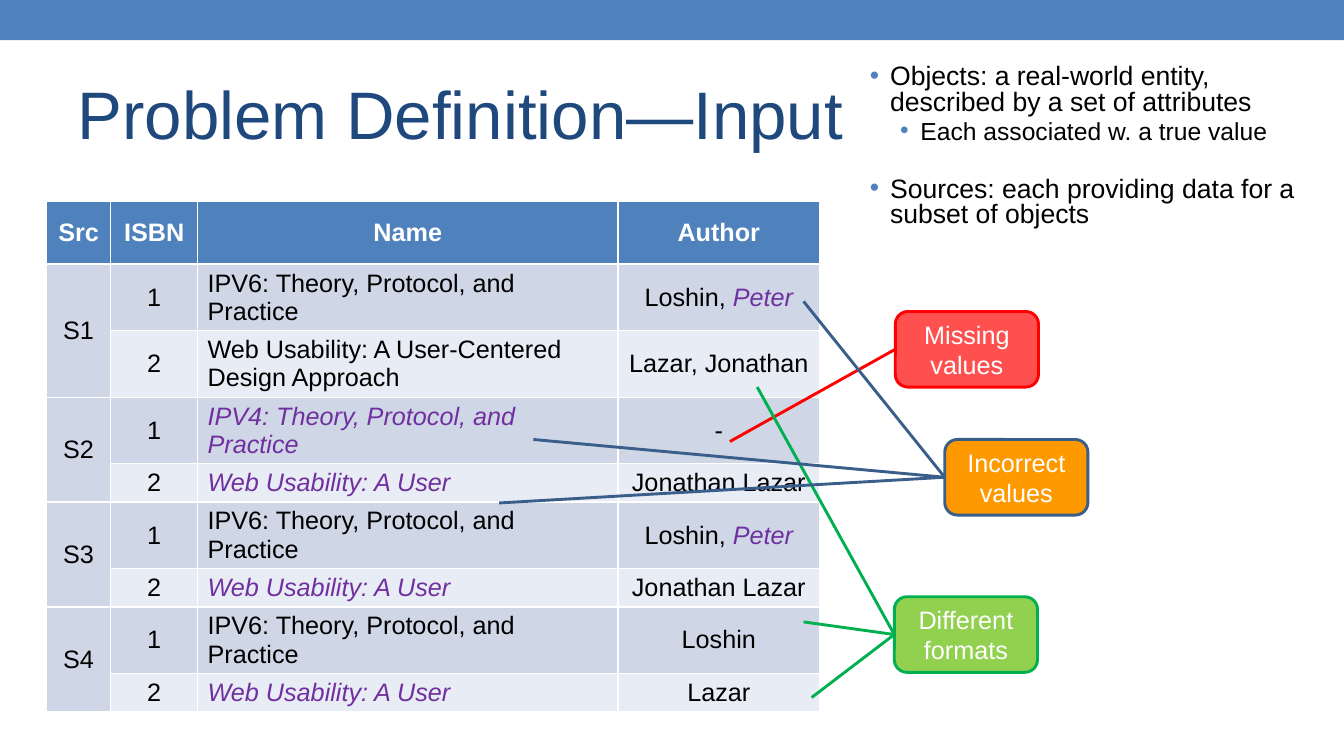
from dataclasses import dataclass

from lxml import etree
from pptx import Presentation
from pptx.dml.color import RGBColor
from pptx.enum import shapes, text
from pptx.oxml import ns
from pptx.util import Inches, Pt


@dataclass(frozen=True)
class Theme:
    font: str = "Arial"
    accent: str = "4F81BD"
    title: str = "1F497D"
    ink: str = "000000"
    white: str = "FFFFFF"
    emphasis: str = "7030A0"
    bands: tuple[str, str] = ("CFD7E7", "E8ECF4")
    title_size: float = 48
    text_size: float = 18
    bullet_size: float = 19
    sub_bullet_size: float = 17.6
    line_width: float = 2.08


@dataclass(frozen=True)
class Record:
    isbn: str
    name: str
    author: str
    height: float


@dataclass(frozen=True)
class Bullet:
    content: str
    size: float
    level: int
    indent: float
    space_before: float


@dataclass(frozen=True)
class Issue:
    label: str
    left: float
    top: float
    fill: str
    line: str
    evidence: tuple[tuple[float, float], ...]


THEME = Theme()
TALL, SHORT = 0.66, 0.38
HEADER_HEIGHT = 0.62
HEADINGS = ("Src", "ISBN", "Name", "Author")
COLUMN_WIDTHS = (0.64, 0.86, 4.17, 2)
IPV6 = "IPV6: Theory, Protocol, and Practice"
USABILITY = "*Web Usability: A User*"

RECORDS = (
    Record("1", IPV6, "Loshin, *Peter*", TALL),
    Record("2", "Web Usability: A User-Centered Design Approach", "Lazar, Jonathan", TALL),
    Record("1", "*IPV4: Theory, Protocol, and Practice*", "-", TALL),
    Record("2", USABILITY, "Jonathan Lazar", SHORT),
    Record("1", IPV6, "Loshin, *Peter*", TALL),
    Record("2", USABILITY, "Jonathan Lazar", SHORT),
    Record("1", IPV6, "Loshin", TALL),
    Record("2", USABILITY, "Lazar", SHORT),
)

BULLETS = (
    Bullet("Objects: a real-world entity, described by a set of attributes",
           THEME.bullet_size, 0, 0.2, 0),
    Bullet("Each associated w. a true value", THEME.sub_bullet_size, 1, 0.5, 3.5),
    Bullet("Sources: each providing data for a subset of objects",
           THEME.bullet_size, 0, 0.2, 23.5),
)

ISSUES = (
    Issue("Missing values", 8.88, 3.09, "FF5050", "FF0000", ((7.24, 4.38),)),
    Issue("Different formats", 8.87, 5.92, "92D050", "00B050",
          ((7.51, 3.84), (7.97, 6.17), (8.05, 6.92))),
    Issue("Incorrect\vvalues", 9.37, 4.36, "FF9900", "395E89",
          ((5.29, 4.36), (4.95, 4.99), (7.97, 2.99))),
)


def rgb(value: str) -> RGBColor:
    return RGBColor.from_string(value)


def set_font(font, size: float, color: str, bold: bool = False) -> None:
    font.name, font.size, font.bold = THEME.font, Pt(size), bold
    font.color.rgb = rgb(color)


def add_banner(slide, width: int) -> None:
    banner = slide.shapes.add_shape(shapes.MSO_SHAPE.RECTANGLE, 0, 0, width, Inches(0.4))
    banner.shadow.inherit = False
    banner.fill.solid()
    banner.fill.fore_color.rgb = rgb(THEME.accent)
    banner.line.fill.background()


def format_title(slide) -> None:
    title = slide.shapes.title
    title.left, title.top = Inches(0.67), Inches(0.58)
    title.width, title.height = Inches(12), Inches(1.08)
    frame = title.text_frame
    frame.text = "Problem Definition—Input"
    frame.auto_size = text.MSO_AUTO_SIZE.NONE
    frame.vertical_anchor = text.MSO_ANCHOR.MIDDLE
    frame.paragraphs[0].alignment = text.PP_ALIGN.LEFT
    set_font(frame.paragraphs[0].font, THEME.title_size, THEME.title)


def fill_cell(cell, content: str, fill: str, color: str = THEME.ink,
              bold: bool = False, centered: bool = True) -> None:
    cell.fill.solid()
    cell.fill.fore_color.rgb = rgb(fill)
    cell.vertical_anchor = text.MSO_ANCHOR.MIDDLE
    paragraph = cell.text_frame.paragraphs[0]
    paragraph.alignment = text.PP_ALIGN.CENTER if centered else text.PP_ALIGN.LEFT
    set_font(paragraph.font, THEME.text_size, color, bold)
    for index, part in enumerate(content.split("*")):
        if part:
            run = paragraph.add_run()
            run.text = part
            if index % 2:
                run.font.italic = True
                run.font.color.rgb = rgb(THEME.emphasis)


def add_records(slide) -> None:
    height = HEADER_HEIGHT + sum(record.height for record in RECORDS)
    table = slide.shapes.add_table(
        len(RECORDS) + 1, len(HEADINGS), Inches(0.46), Inches(2),
        Inches(sum(COLUMN_WIDTHS)), Inches(height)).table
    table.rows[0].height = Inches(HEADER_HEIGHT)
    for column, (heading, width) in enumerate(zip(HEADINGS, COLUMN_WIDTHS)):
        table.columns[column].width = Inches(width)
        fill_cell(table.cell(0, column), heading, THEME.accent, THEME.white, bold=True)
    for row, record in enumerate(RECORDS, start=1):
        table.rows[row].height = Inches(record.height)
        band = THEME.bands[(row - 1) % 2]
        if row % 2:
            source = table.cell(row, 0)
            source.merge(table.cell(row + 1, 0))
            fill_cell(source, f"S{(row + 1) // 2}", band)
        fill_cell(table.cell(row, 1), record.isbn, band)
        fill_cell(table.cell(row, 2), record.name, band, centered=False)
        fill_cell(table.cell(row, 3), record.author, band)


def add_issue(slide, issue: Issue) -> None:
    box = slide.shapes.add_shape(
        shapes.MSO_SHAPE.ROUNDED_RECTANGLE, Inches(issue.left), Inches(issue.top),
        Inches(1.42), Inches(0.75))
    box.shadow.inherit = False
    box.fill.solid()
    box.fill.fore_color.rgb = rgb(issue.fill)
    box.line.color.rgb = rgb(issue.line)
    box.line.width = Pt(THEME.line_width)
    frame = box.text_frame
    frame.word_wrap = True
    frame.vertical_anchor = text.MSO_ANCHOR.MIDDLE
    label = frame.paragraphs[0]
    label.text = issue.label
    label.alignment = text.PP_ALIGN.CENTER
    set_font(label.font, THEME.text_size, THEME.white)
    for x, y in issue.evidence:
        pointer = slide.shapes.add_connector(
            shapes.MSO_CONNECTOR.STRAIGHT, box.left, box.top, Inches(x), Inches(y))
        pointer.begin_connect(box, 1)
        pointer.line.color.rgb = rgb(issue.line)
        pointer.line.width = Pt(THEME.line_width)
        etree.SubElement(pointer._element.spPr, ns.qn("a:effectLst"))


def add_definitions(slide) -> None:
    definitions = slide.shapes.add_textbox(
        Inches(8.53), Inches(0.6), Inches(4.42), Inches(2.21))
    definitions.fill.solid()
    definitions.fill.fore_color.rgb = rgb(THEME.white)
    frame = definitions.text_frame
    frame.word_wrap = True
    for index, bullet in enumerate(BULLETS):
        paragraph = frame.add_paragraph() if index else frame.paragraphs[0]
        paragraph.text = bullet.content
        paragraph.level = bullet.level
        paragraph.line_spacing = 0.8
        paragraph.space_before = Pt(bullet.space_before)
        properties = paragraph._p.get_or_add_pPr()
        properties.set("marL", str(Inches(bullet.indent)))
        properties.set("indent", str(Inches(-0.2)))
        color = etree.SubElement(properties, ns.qn("a:buClr"))
        etree.SubElement(color, ns.qn("a:srgbClr"), val=THEME.accent)
        etree.SubElement(properties, ns.qn("a:buFont"), typeface=THEME.font)
        etree.SubElement(properties, ns.qn("a:buChar"), char="•")
        set_font(paragraph.font, bullet.size, THEME.ink)


def main() -> None:
    deck = Presentation()
    deck.slide_width, deck.slide_height = Inches(13.33), Inches(7.5)
    slide = deck.slides.add_slide(deck.slide_layouts[5])
    add_banner(slide, deck.slide_width)
    format_title(slide)
    add_records(slide)
    for issue in ISSUES:
        add_issue(slide, issue)
    add_definitions(slide)
    deck.save("out.pptx")


if __name__ == "__main__":
    main()
